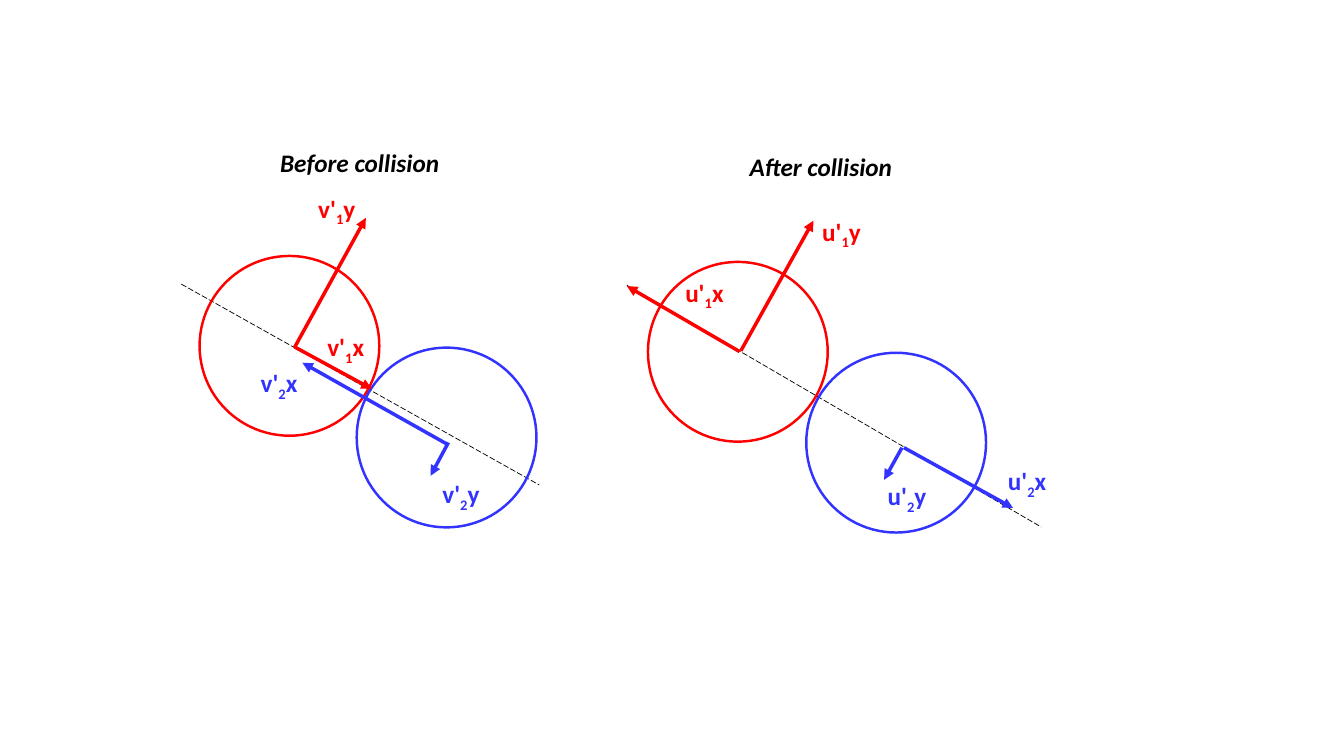
"""Build a slide comparing the velocity components of two discs before and after a collision."""
from dataclasses import dataclass

from lxml import etree
from pptx import Presentation
from pptx.dml.color import RGBColor
from pptx.enum.dml import MSO_LINE
from pptx.enum.shapes import MSO_CONNECTOR, MSO_SHAPE
from pptx.enum.text import MSO_AUTO_SIZE
from pptx.oxml.ns import qn
from pptx.shapes.connector import Connector
from pptx.slide import Slide
from pptx.util import Cm, Pt

STRAIGHT = MSO_CONNECTOR.STRAIGHT
ELLIPSE = MSO_SHAPE.OVAL
LONG_DASH = MSO_LINE.LONG_DASH
GROW_TO_TEXT = MSO_AUTO_SIZE.SHAPE_TO_FIT_TEXT

BLANK_LAYOUT = 6
DIAMETER = 4.53
TEXT_HEIGHT = 1.02
LABEL_WIDTH = 1.5

Point = tuple[float, float]


@dataclass(frozen=True)
class Theme:
    """Colours, font and weights of the slide."""
    first: RGBColor = RGBColor(0xFF, 0x00, 0x00)
    second: RGBColor = RGBColor(0x33, 0x33, 0xFF)
    ink: RGBColor = RGBColor(0x00, 0x00, 0x00)
    font: str = "Calibri"
    text_size: float = 18
    axis_weight: float = 0.5
    disc_weight: float = 1.75
    arrow_weight: float = 2.5


THEME = Theme()
DISC_COLOURS = {"1": THEME.first, "2": THEME.second}


@dataclass(frozen=True)
class Component:
    """A velocity component of one disc, with its arrow and label."""
    disc: str
    axis: str
    start: Point
    end: Point
    label_at: Point


@dataclass(frozen=True)
class Scene:
    """One moment of the collision."""
    caption: str
    caption_at: Point
    caption_width: float
    symbol: str
    line_of_centres: tuple[Point, Point]
    disc_corners: dict[str, Point]
    components: list[Component]


SCENES = [
    Scene(
        "Before collision", (6.81, 3.58), 4.57, "v'",
        ((4.57, 7.16), (13.59, 12.22)),
        {"1": (5.03, 6.45), "2": (8.99, 8.76)},
        [
            Component("1", "y", (7.42, 8.76), (9.22, 5.49), (7.77, 4.75)),
            Component("1", "x", (7.42, 8.74), (9.37, 9.8), (8, 8.23)),
            Component("2", "x", (11.28, 11.2), (7.62, 9.14), (6.32, 9.14)),
            Component("2", "y", (11.3, 11.15), (10.85, 11.99), (10.9, 11.94)),
        ],
    ),
    Scene(
        "After collision", (18.64, 3.68), 4.17, "u'",
        ((15.8, 7.19), (26.24, 13.28)),
        {"2": (20.32, 8.89), "1": (16.33, 6.6)},
        [
            Component("1", "x", (18.64, 8.86), (15.8, 7.21), (17.02, 6.86)),
            Component("1", "y", (18.67, 8.84), (20.5, 5.56), (20.47, 5.33)),
            Component("2", "x", (22.78, 11.28), (25.53, 12.8), (25.15, 11.61)),
            Component("2", "y", (22.73, 11.28), (22.28, 12.09), (22.12, 11.99)),
        ],
    ),
]


def add_text(slide: Slide, parts: list[str], position: Point, *, width: float,
             colour: RGBColor, italic: bool = False) -> None:
    """Add one bold line in which every second part is a subscript."""
    left, top = position
    box = slide.shapes.add_textbox(Cm(left), Cm(top), Cm(width), Cm(TEXT_HEIGHT))
    frame = box.text_frame
    frame.word_wrap = False
    frame.auto_size = GROW_TO_TEXT
    for index, part in enumerate(parts):
        run = frame.paragraphs[0].add_run()
        run.text = part
        run.font.name = THEME.font
        run.font.size = Pt(THEME.text_size)
        run.font.bold = True
        run.font.italic = italic
        run.font.color.rgb = colour
        if index % 2:
            run._r.get_or_add_rPr().set("baseline", "-25000")


def add_line(slide: Slide, start: Point, end: Point, *, colour: RGBColor,
             weight: float) -> Connector:
    """Add a straight line without a shadow."""
    ends = [Cm(value) for value in (*start, *end)]
    connector = slide.shapes.add_connector(STRAIGHT, *ends)
    connector.line.color.rgb = colour
    connector.line.width = Pt(weight)
    etree.SubElement(connector._element.spPr, qn("a:effectLst"))
    return connector


def add_arrow(slide: Slide, component: Component) -> None:
    """Add the arrow of a velocity component."""
    connector = add_line(slide, component.start, component.end,
                         colour=DISC_COLOURS[component.disc],
                         weight=THEME.arrow_weight)
    outline = connector.line._get_or_add_ln()
    etree.SubElement(outline, qn("a:tailEnd"), type="triangle")


def add_disc(slide: Slide, corner: Point, colour: RGBColor) -> None:
    """Add an unfilled disc outline."""
    left, top = corner
    disc = slide.shapes.add_shape(ELLIPSE, Cm(left), Cm(top), Cm(DIAMETER), Cm(DIAMETER))
    disc.shadow.inherit = False
    disc.fill.background()
    disc.line.color.rgb = colour
    disc.line.width = Pt(THEME.disc_weight)


def add_scene(slide: Slide, scene: Scene) -> None:
    """Draw the axis, discs, labels, arrows and caption of a scene."""
    axis = add_line(slide, *scene.line_of_centres, colour=THEME.ink,
                    weight=THEME.axis_weight)
    axis.line.dash_style = LONG_DASH
    for disc, corner in scene.disc_corners.items():
        add_disc(slide, corner, DISC_COLOURS[disc])
    for component in scene.components:
        add_text(slide, [scene.symbol, component.disc, component.axis],
                 component.label_at, width=LABEL_WIDTH,
                 colour=DISC_COLOURS[component.disc])
    for component in scene.components:
        add_arrow(slide, component)
    add_text(slide, [scene.caption], scene.caption_at, width=scene.caption_width,
             colour=THEME.ink, italic=True)


def main() -> None:
    """Create and save the presentation."""
    presentation = Presentation()
    presentation.slide_width = Cm(33.87)
    presentation.slide_height = Cm(19.05)
    slide = presentation.slides.add_slide(presentation.slide_layouts[BLANK_LAYOUT])
    for scene in SCENES:
        add_scene(slide, scene)
    presentation.save("out.pptx")


main()
